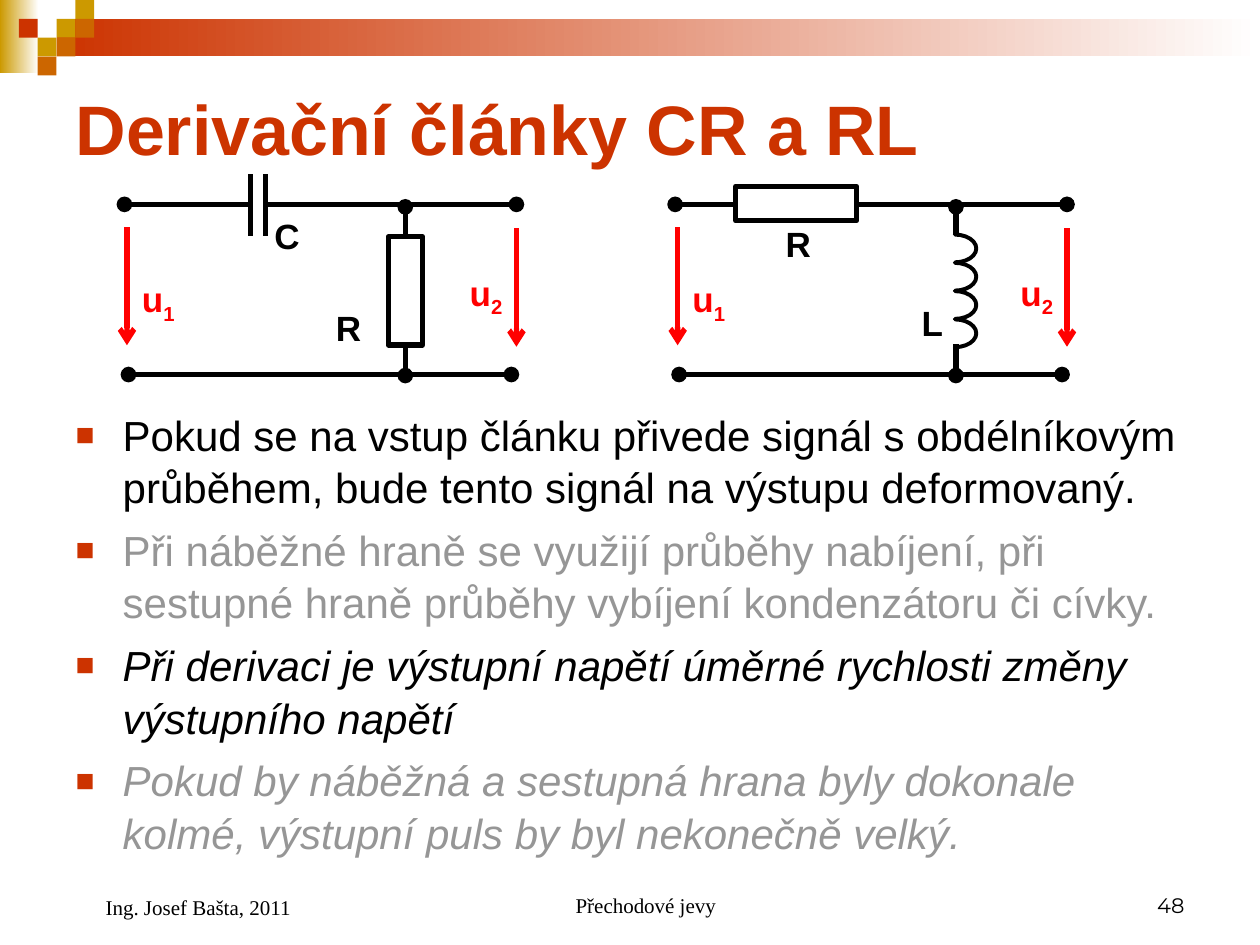
import pptx
import pptx.dml.color
import pptx.enum.shapes
import pptx.enum.text
import pptx.oxml
import pptx.oxml.ns
import pptx.util
from pptx.util import Cm

COLORS = {"red": "CC3300", "gold": "CC9900", "orange": "CC6600", "white": "FFFFFF",
          "black": "000000", "gray": "969696", "voltage": "FF0000", "coil": "FFCC00"}
SHAPE = pptx.enum.shapes.MSO_SHAPE
ALIGN = pptx.enum.text.PP_ALIGN
ANCHOR = pptx.enum.text.MSO_ANCHOR
LABEL = {"name": "Arial", "size": pptx.util.Pt(20), "bold": True}
BODY = {"name": "Arial", "size": pptx.util.Pt(24)}
BULLETS = [
    ("Pokud se na vstup článku přivede signál s obdélníkovým průběhem, "
     "bude tento signál na výstupu deformovaný.", "black", False),
    ("Při náběžné hraně se využijí průběhy nabíjení, "
     "při sestupné hraně průběhy vybíjení kondenzátoru či cívky.", "gray", False),
    ("Při derivaci je výstupní napětí úměrné rychlosti změny výstupního napětí", "black", True),
    ("Pokud by náběžná a sestupná hrana byly dokonale kolmé, "
     "výstupní puls by byl nekonečně velký.", "gray", True),
]


def rgb(color):
    return pptx.dml.color.RGBColor.from_string(COLORS[color])


def apply(target, formats):
    for name, value in formats.items():
        setattr(target, name, value)


def add_child(parent, tag, **attributes):
    child = pptx.oxml.parse_xml(f"<a:{tag} {pptx.oxml.ns.nsdecls('a')}/>")
    for name, value in attributes.items():
        child.set(name, value)
    parent.append(child)
    return child


def add_span(para, text, color, formats):
    span = para.add_run()
    span.text = text
    apply(span.font, formats)
    span.font.color.rgb = rgb(color)
    return span


def add_box(parent, kind, left, top, width, height, fill=None, line_width=None):
    box = parent.shapes.add_shape(kind, Cm(left), Cm(top), Cm(width), Cm(height))
    box.shadow.inherit = False
    if fill:
        box.fill.solid()
        box.fill.fore_color.rgb = rgb(fill)
    else:
        box.fill.background()
    if line_width:
        box.line.color.rgb = rgb("black")
        box.line.width = pptx.util.Pt(line_width)
    else:
        box.line.fill.background()
    return box


def add_header(page):
    header = page.shapes.add_group_shape()
    for color, area in [("gold", (0, 0, 0.78, 1.47)), ("red", (1.14, 0.38, 24.26, 0.76))]:
        band = add_box(header, SHAPE.RECTANGLE, *area)
        band.fill.gradient()
        band.fill.gradient_angle = 180
        for stop, stop_color in zip(band.fill.gradient_stops, ("white", color)):
            stop.color.rgb = rgb(stop_color)
    side = 0.38
    for column, row, color in [(3, 1, "gold"), (4, 0, "gold"), (4, 1, "orange"), (2, 2, "gold"),
                               (1, 1, "red"), (3, 2, "orange"), (2, 3, "orange")]:
        add_box(header, SHAPE.RECTANGLE, column * side, row * side, side, side, color)


class Circuit:
    """Group of circuit elements placed relative to its left top corner."""

    def __init__(self, page, left, top):
        self.group = page.shapes.add_group_shape()
        self.left, self.top = left, top

    def wire(self, x1, y1, x2, y2, color="black", head=None, tail=None):
        line = self.group.shapes.add_connector(
            pptx.enum.shapes.MSO_CONNECTOR.STRAIGHT, Cm(self.left + x1), Cm(self.top + y1),
            Cm(self.left + x2), Cm(self.top + y2))
        line.line.color.rgb = rgb(color)
        line.line.width = pptx.util.Pt(3)
        for tag, end in (("headEnd", head), ("tailEnd", tail)):
            if end:
                add_child(line.line._get_or_add_ln(), tag, type=end)
        add_child(line._element.spPr, "effectLst")

    def element(self, kind, x, y, width, height, rotation=0, **style):
        box = add_box(self.group, kind, self.left + x, self.top + y, width, height, **style)
        box.rotation = rotation
        return box

    def label(self, x, y, text, subscript="", color="black"):
        box = self.group.shapes.add_textbox(Cm(self.left + x), Cm(self.top + y),
                                            Cm(1.4 if subscript else 1.17), Cm(1.15))
        box.text_frame.word_wrap = True
        para = box.text_frame.paragraphs[0]
        add_span(para, text, color, LABEL)
        if subscript:
            span = add_span(para, subscript, color, LABEL)
            span._r.get_or_add_rPr().set("baseline", "-25000")

    def frame(self, gap_start, gap_end):
        """Draw the terminals, the branch ends and both voltages."""
        self.wire(7.8, 4.04, 0.08, 4.04, head="oval", tail="oval")
        self.wire(gap_start, 0.61, 0, 0.61, tail="oval")
        self.wire(7.9, 0.61, gap_end, 0.61, head="oval")
        self.wire(5.66, 4.06, 5.66, 3.43, head="oval")
        self.wire(5.66, 1.23, 5.66, 0.66, tail="oval")
        self.wire(0.05, 1.07, 0.05, 3.45, "voltage", tail="arrow")
        self.wire(7.9, 1.09, 7.9, 3.48, "voltage", tail="arrow")
        self.label(0.1, 1.96, "u", "1", "voltage")
        self.label(6.71, 1.83, "u", "2", "voltage")


def add_cr_circuit(page, left, top):
    circuit = Circuit(page, left, top)
    circuit.frame(2.51, 2.87)
    for x in (2.54, 2.84):
        circuit.wire(x, 0, x, 1.24)
    circuit.element(SHAPE.RECTANGLE, 4.57, 2.01, 2.18, 0.69, 90, line_width=3)
    circuit.label(2.77, 0.69, "C")
    circuit.label(4.01, 2.54, "R")


def add_rl_circuit(page, left, top):
    circuit = Circuit(page, left, top)
    circuit.frame(1.17, 3.66)
    circuit.element(SHAPE.RECTANGLE, 1.22, 0.25, 2.44, 0.69, line_width=3)
    for turn in range(4):
        arc = circuit.element(SHAPE.BLOCK_ARC, 5.36, 1.07 + turn * 0.57, 0.56, 0.86, 90,
                              fill="coil", line_width=2.25)
        for index, value in enumerate((107.89, 0.11, 0)):
            arc.adjustments[index] = value
    circuit.label(1.98, 0.86, "R")
    circuit.label(4.72, 2.44, "L")


def place_text(box, left, top, width, height, anchor):
    apply(box, {"left": Cm(left), "top": Cm(top), "width": Cm(width), "height": Cm(height)})
    apply(box.text_frame, {"word_wrap": True, "vertical_anchor": anchor,
                           "auto_size": pptx.enum.text.MSO_AUTO_SIZE.NONE})
    return box.text_frame.paragraphs[0]


def fill_title(title, *area):
    para = place_text(title, *area, ANCHOR.MIDDLE)
    para.alignment = ALIGN.LEFT
    add_span(para, "Derivační články CR a RL", "red", LABEL | {"size": pptx.util.Pt(40)})


def fill_body(body, *area):
    para = place_text(body, *area, ANCHOR.TOP)
    for index, (text, color, italic) in enumerate(BULLETS):
        if index:
            para = body.text_frame.add_paragraph()
        properties = para._p.get_or_add_pPr()
        properties.set("marL", str(Cm(0.95)))
        properties.set("indent", str(Cm(-0.95)))
        add_child(add_child(properties, "buClr"), "srgbClr", val=COLORS["red"])
        add_child(properties, "buSzPct", val="75000")
        add_child(properties, "buChar", char="■")
        apply(para, {"line_spacing": 1.04, "space_before": pptx.util.Pt(6 if index else 0)})
        add_span(para, text, color, BODY | {"italic": italic})


def add_footer(page, top):
    for left, width, text, font, align, margin in [
            (1.27, 5.92, "Ing. Josef Bašta, 2011", "Times New Roman", ALIGN.LEFT, 0.61),
            (8.69, 8.05, "Přechodové jevy", "Times New Roman", ALIGN.CENTER, 0.61),
            (18.21, 5.92, "48", "Montserrat", ALIGN.RIGHT, 0)]:
        height = 1.32 if align == ALIGN.LEFT else 1.27
        box = page.shapes.add_textbox(0, 0, 0, 0)
        para = place_text(box, left, top, width, height, ANCHOR.BOTTOM)
        para.alignment = align
        para._p.get_or_add_pPr().set("marL", str(Cm(margin)))
        add_span(para, text, "black", {"name": font, "size": pptx.util.Pt(12)})


def main():
    deck = pptx.Presentation()
    apply(deck, {"slide_width": Cm(25.4), "slide_height": Cm(19.05)})
    page = deck.slides.add_slide(deck.slide_layouts[1])
    add_header(page)
    fill_title(page.shapes.title, 1.27, 1.27, 22.86, 2.62)
    add_rl_circuit(page, 13.61, 3.51)
    add_cr_circuit(page, 2.51, 3.51)
    fill_body(page.placeholders[1], 1.27, 8.08, 22.86, 9.32)
    add_footer(page, 17.35)
    deck.save("out.pptx")


if __name__ == "__main__":
    main()
